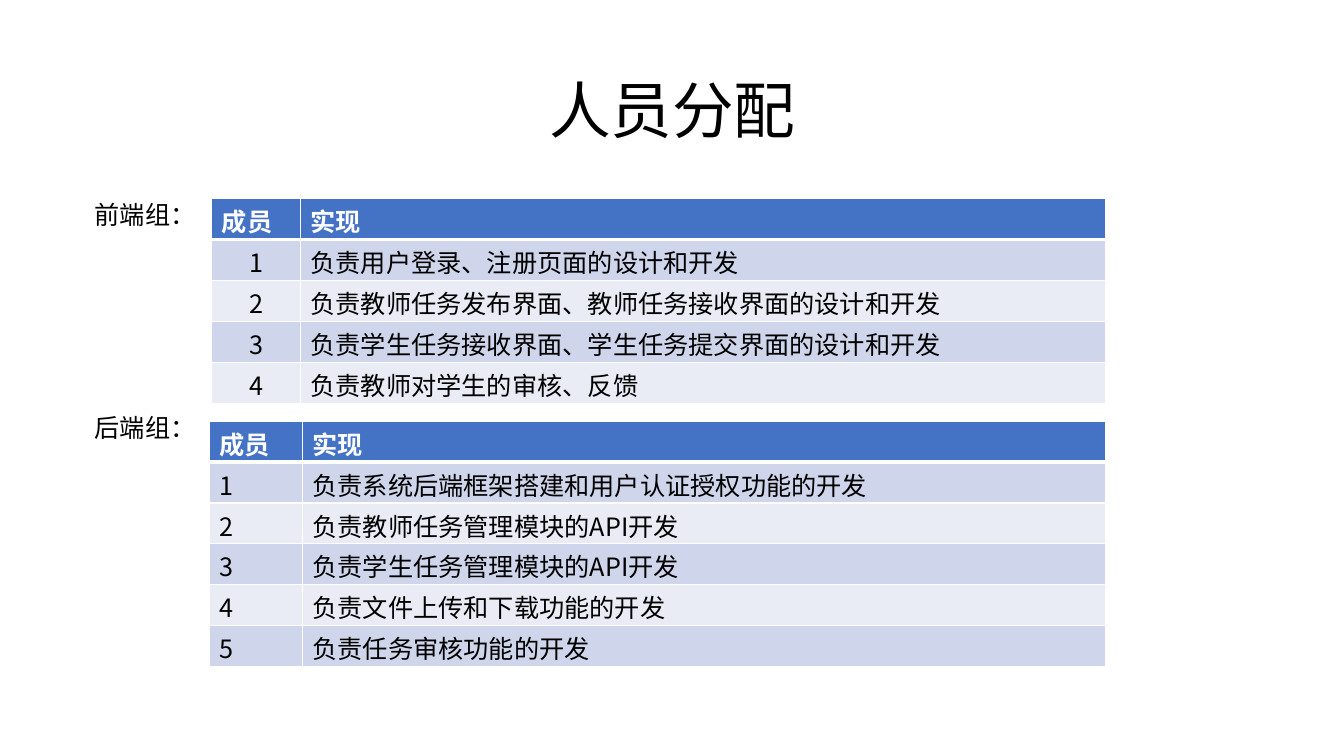
from dataclasses import dataclass
from lxml.etree import SubElement
from pptx import Presentation
from pptx.dml.color import RGBColor
from pptx.enum.text import MSO_ANCHOR as Anchor, PP_ALIGN as Align
from pptx.oxml.ns import qn
from pptx.util import Inches, Pt

TITLE = "人员分配"
HEADER = ("成员", "实现")
GROUPS = [
    {
        "label": "前端组：", "label_top": 1.93,
        "left": 2.1, "top": 1.97, "height": 2.03, "columns": (0.88, 7.99),
        "member_align": Align.CENTER,
        "duties": [
            "负责用户登录、注册页面的设计和开发",
            "负责教师任务发布界面、教师任务接收界面的设计和开发",
            "负责学生任务接收界面、学生任务提交界面的设计和开发",
            "负责教师对学生的审核、反馈",
        ],
    },
    {
        "label": "后端组：", "label_top": 4.04,
        "left": 2.08, "top": 4.18, "height": 2.43, "columns": (0.92, 7.97),
        "member_align": Align.LEFT,
        "duties": [
            "负责系统后端框架搭建和用户认证授权功能的开发",
            "负责教师任务管理模块的API开发",
            "负责学生任务管理模块的API开发",
            "负责文件上传和下载功能的开发",
            "负责任务审核功能的开发",
        ],
    },
]


@dataclass(frozen=True)
class Theme:
    font: str = "Noto Sans CJK SC"
    ink: str = "000000"
    white: str = "FFFFFF"
    header: str = "4472C4"
    bands: tuple = ("CFD5EA", "E9EBF5")
    title_size: int = 44
    body_size: int = 18
    rule: int = 1
    header_rule: int = 3


theme = Theme()


def write(frame, text, size=theme.body_size, color=theme.ink, bold=False,
          align=Align.LEFT, spacing=None):
    paragraph = frame.paragraphs[0]
    paragraph.alignment = align
    paragraph.line_spacing = spacing
    run = paragraph.add_run()
    run.text = text
    run.font.size = Pt(size)
    run.font.bold = bold
    run.font.name = theme.font
    run.font.color.rgb = RGBColor.from_string(color)
    SubElement(run.font._element, qn("a:ea"), typeface=theme.font)


def add_text(slide, box, text, anchor=Anchor.TOP, **style):
    frame = slide.shapes.add_textbox(*map(Inches, box)).text_frame
    frame.word_wrap = True
    frame.vertical_anchor = anchor
    write(frame, text, **style)


def add_borders(cell, is_header):
    bottom = theme.header_rule if is_header else theme.rule
    edges = {"L": theme.rule, "R": theme.rule, "B": bottom}
    if is_header:
        edges = {"L": theme.rule, "R": theme.rule, "T": theme.rule, "B": bottom}
    properties = cell._tc.get_or_add_tcPr()
    for edge, width in edges.items():
        line = SubElement(properties, qn(f"a:ln{edge}"), w=str(Pt(width)))
        SubElement(SubElement(line, qn("a:solidFill")), qn("a:srgbClr"), val=theme.white)


def add_group(slide, group):
    add_text(slide, (0.84, group["label_top"], 1.2, 0.46), group["label"])
    members = [(str(number), duty) for number, duty in enumerate(group["duties"], 1)]
    rows = [HEADER, *members]
    table = slide.shapes.add_table(
        len(rows), len(HEADER), Inches(group["left"]), Inches(group["top"]),
        Inches(sum(group["columns"])), Inches(group["height"])).table
    for column, width in zip(table.columns, group["columns"]):
        column.width = Inches(width)
    for r, row in enumerate(rows):
        is_header = r == 0
        fill = theme.header if is_header else theme.bands[(r - 1) % 2]
        for c, text in enumerate(row):
            cell = table.cell(r, c)
            cell.margin_top, cell.margin_bottom = Inches(0.04), 0
            add_borders(cell, is_header)
            cell.fill.solid()
            cell.fill.fore_color.rgb = RGBColor.from_string(fill)
            is_member = c == 0 and not is_header
            write(cell.text_frame, text, bold=is_header,
                  color=theme.white if is_header else theme.ink,
                  align=group["member_align"] if is_member else Align.LEFT)


deck = Presentation()
deck.slide_width, deck.slide_height = Inches(13.33), Inches(7.5)
staffing = deck.slides.add_slide(deck.slide_layouts[6])
add_text(staffing, (0.92, 0.4, 11.5, 1.45), TITLE, anchor=Anchor.MIDDLE,
         size=theme.title_size, align=Align.CENTER, spacing=0.9)
for group in GROUPS:
    add_group(staffing, group)
deck.save("out.pptx")
